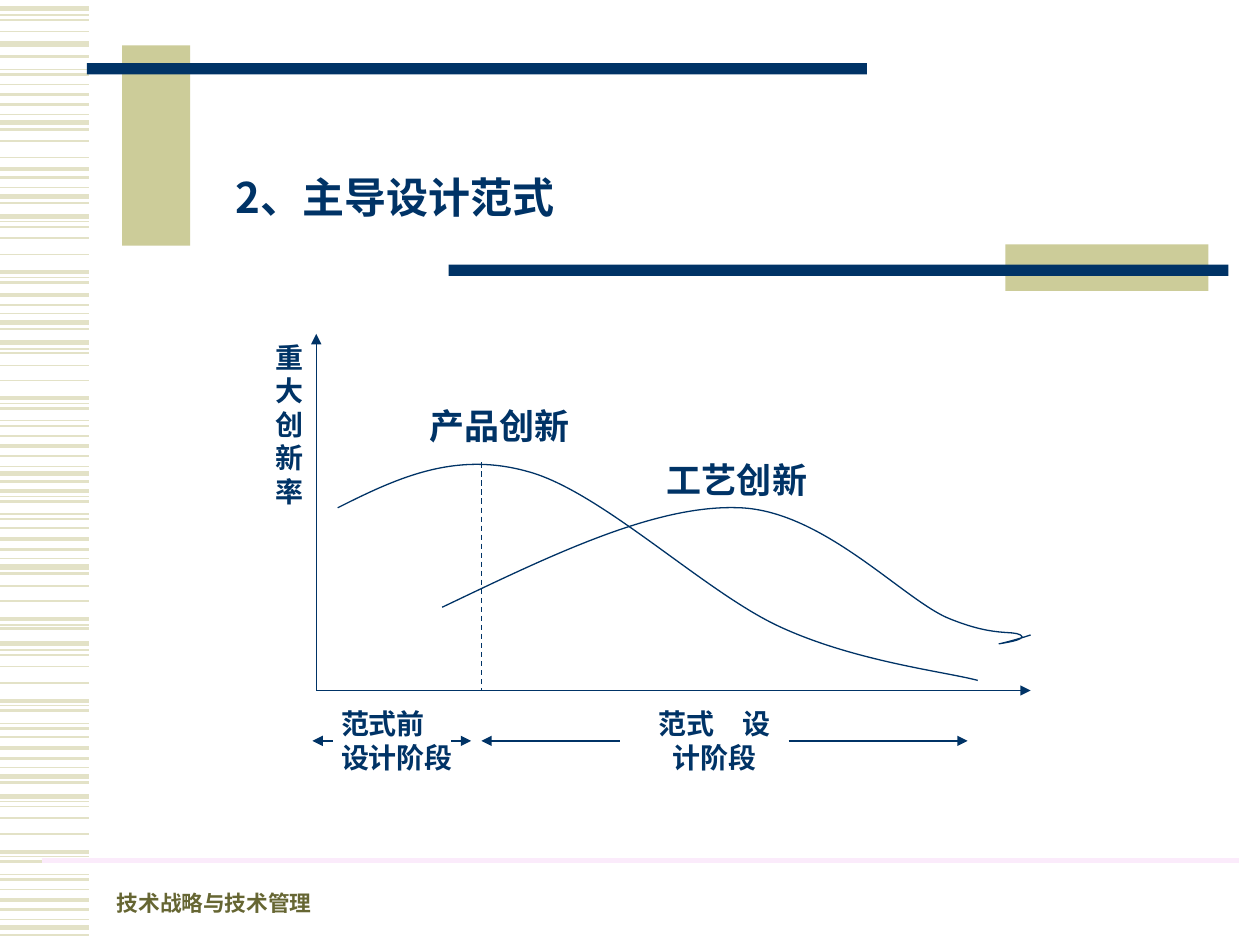
from typing import NamedTuple

from lxml.etree import SubElement
from pptx import Presentation
from pptx.dml.color import RGBColor
from pptx.enum.dml import MSO_LINE
from pptx.enum.shapes import MSO_CONNECTOR, MSO_SHAPE
from pptx.enum.text import MSO_ANCHOR, MSO_AUTO_SIZE, PP_ALIGN
from pptx.oxml.ns import qn
from pptx.util import Inches, Pt

NAVY = RGBColor(0x00, 0x33, 0x66)
KHAKI = RGBColor(0xCC, 0xCC, 0x99)
PALE = RGBColor(0xE3, 0xE2, 0xC7)
PINK = RGBColor(0xFB, 0xEB, 0xFB)
OLIVE = RGBColor(0x66, 0x66, 0x33)
SERIF = "Times New Roman"
SANS = "Noto Sans CJK SC"

Point = tuple[float, float]


class Bar(NamedTuple):
    left: float
    top: float
    width: float
    height: float
    color: RGBColor


class Line(NamedTuple):
    start: Point
    end: Point
    color: RGBColor = NAVY
    weight: float = 0.75
    arrow: bool = True
    dashed: bool = False


class Label(NamedTuple):
    text: str
    left: float
    top: float
    width: float
    height: float
    size: float
    before: float = 0
    align: PP_ALIGN = PP_ALIGN.CENTER
    font: str = SERIF
    color: RGBColor = NAVY
    anchor: MSO_ANCHOR = MSO_ANCHOR.TOP
    grow: bool = True


# Heights of the stripes on the left edge, by line weight in points
STRIPES = {
    0.75: [0.12, 0.55, 0.91, 1.49, 1.76, 2.2, 2.49, 2.77, 3.2, 3.34, 3.7, 3.94, 4.08,
           4.43, 4.96, 5.16, 5.6, 5.74, 6.09, 6.36, 6.8, 6.94, 7.3],
    1: [0.16, 0.25, 0.67, 1.12, 1.25, 1.8, 1.89, 2.02, 2.8, 2.9, 3.02, 3.46, 4.19,
        4.65, 4.77, 5.2, 5.29, 5.42, 5.85, 6.4, 6.49, 6.62, 7.06],
    1.5: [0.45, 0.59, 0.83, 1.03, 1.41, 1.61, 2.24, 2.42, 2.61, 3.24, 3.38, 3.62, 3.82,
          3.98, 4.12, 4.36, 4.55, 4.99, 5.64, 5.78, 6.02, 6.21, 6.84, 6.98, 7.22, 7.42],
    2.25: [0.75, 1.34, 2.16, 2.34, 3.16, 3.54, 3.9, 4.28, 4.91, 5.56, 5.94, 6.76, 7.14],
    3: [0.07, 0.35, 0.97, 1.56, 1.72, 2.56, 2.72, 3.76, 4.5, 5.11, 6.16, 6.32, 7.36],
}

BARS = [
    Bar(0.97, 0.36, 0.54, 1.59, KHAKI),
    Bar(0.69, 0.5, 6.19, 0.09, NAVY),
    Bar(7.98, 1.94, 1.61, 0.37, KHAKI),
    Bar(3.56, 2.1, 6.19, 0.09, NAVY),
]

RULE = Line((0.33, 6.83), (9.83, 6.83), PINK, 3, arrow=False)

LINES = [
    Line((2.51, 5.48), (2.51, 2.65)),
    Line((2.51, 5.48), (8.18, 5.48)),
    Line((3.82, 3.67), (3.82, 5.48), arrow=False, dashed=True),
    Line((2.64, 5.88), (2.48, 5.88)),
    Line((3.58, 5.88), (3.74, 5.88)),
    Line((4.92, 5.88), (3.82, 5.88)),
    Line((6.26, 5.88), (7.68, 5.88)),
]

# Start point, then two control points and an end point for each segment
PRODUCT = [
    (2.68, 4.03),
    (3.14, 3.8), (3.6, 3.58), (4.18, 3.74),
    (4.76, 3.89), (5.58, 4.69), (6.18, 4.97),
    (6.78, 5.25), (7.5, 5.33), (7.76, 5.4),
]
PROCESS = [
    (3.51, 4.82),
    (4.35, 4.42), (5.18, 4.01), (5.85, 4.03),
    (6.51, 4.04), (7.14, 4.73), (7.51, 4.9),
    (7.89, 5.06), (8.03, 5), (8.1, 5.04),
    (8.17, 5.08), (7.92, 5.11), (7.93, 5.11),
    (7.94, 5.11), (8.06, 5.08), (8.18, 5.04),
]

HEADINGS = [
    Label("技术战略与技术管理", 0.83, 6.98, 2.6, 0.34, 12.4, align=PP_ALIGN.LEFT,
          color=OLIVE, anchor=MSO_ANCHOR.BOTTOM, grow=False),
    Label("2、主导设计范式", 1.77, 1.31, 3.7, 0.5, 24, 15, PP_ALIGN.LEFT, SANS),
]

LABELS = [
    Label("产品创新", 3.01, 3.16, 1.91, 0.44, 20, 12.5),
    Label("工艺创新", 5.1, 3.59, 1.5, 0.44, 20, 12.5),
    Label("重大创新率", 2.09, 2.65, 0.5, 1.44, 16, 10, PP_ALIGN.LEFT),
    Label("范式前　设计阶段", 2.56, 5.56, 1.18, 0.64, 16, 10),
    Label("范式　设计阶段", 5.08, 5.56, 1.18, 0.64, 16, 10),
]


def draw_bar(shapes, bar: Bar) -> None:
    rect = shapes.add_shape(MSO_SHAPE.RECTANGLE, *map(Inches, bar[:4]))
    rect.shadow.inherit = False
    rect.fill.solid()
    rect.fill.fore_color.rgb = bar.color
    rect.line.fill.background()


def draw_line(shapes, line: Line) -> None:
    item = shapes.add_connector(MSO_CONNECTOR.STRAIGHT, *map(Inches, line.start + line.end))
    item.line.color.rgb = line.color
    item.line.width = Pt(line.weight)
    if line.dashed:
        item.line.dash_style = MSO_LINE.DASH
    if line.arrow:
        SubElement(item.line._get_or_add_ln(), qn("a:tailEnd"), type="triangle")
    SubElement(item._element.spPr, qn("a:effectLst"))


def draw_curve(shapes, knots: list[Point]) -> None:
    """Outline the knots, then join each three of them into a cubic segment."""
    first, *rest = [(Inches(x), Inches(y)) for x, y in knots]
    pen = shapes.build_freeform(*first)
    pen.add_line_segments(rest, close=False)
    curve = pen.convert_to_shape()
    curve.shadow.inherit = False
    curve.fill.background()
    curve.line.color.rgb = NAVY
    curve.line.width = Pt(0.75)
    steps = curve._element.findall(".//" + qn("a:lnTo"))
    track = steps[0].getparent()
    for i in range(0, len(steps), 3):
        cubic = SubElement(track, qn("a:cubicBezTo"))
        for step in steps[i:i + 3]:
            cubic.append(step[0])
            track.remove(step)


def draw_label(shapes, label: Label) -> None:
    box = shapes.add_textbox(*map(Inches, label[1:5]))
    frame = box.text_frame
    frame.word_wrap = True
    frame.vertical_anchor = label.anchor
    if label.grow:
        frame.auto_size = MSO_AUTO_SIZE.SHAPE_TO_FIT_TEXT
    para = frame.paragraphs[0]
    para.text = label.text
    para.alignment = label.align
    para.space_before = Pt(label.before)
    para.font.name = label.font
    para.font.size = Pt(label.size)
    para.font.bold = True
    para.font.color.rgb = label.color


def main() -> None:
    deck = Presentation()
    deck.slide_width, deck.slide_height = Inches(10), Inches(7.5)
    shapes = deck.slides.add_slide(deck.slide_layouts[6]).shapes

    frame = shapes.add_group_shape().shapes
    for weight, tops in STRIPES.items():
        for top in tops:
            draw_line(frame, Line((0, top), (0.71, top), PALE, weight, arrow=False))
    for bar in BARS:
        draw_bar(frame, bar)

    draw_line(shapes, RULE)
    for label in HEADINGS:
        draw_label(shapes, label)

    graph = shapes.add_group_shape().shapes
    for line in LINES:
        draw_line(graph, line)
    for knots in (PRODUCT, PROCESS):
        draw_curve(graph, knots)
    for label in LABELS:
        draw_label(graph, label)
    deck.save("out.pptx")


if __name__ == "__main__":
    main()
